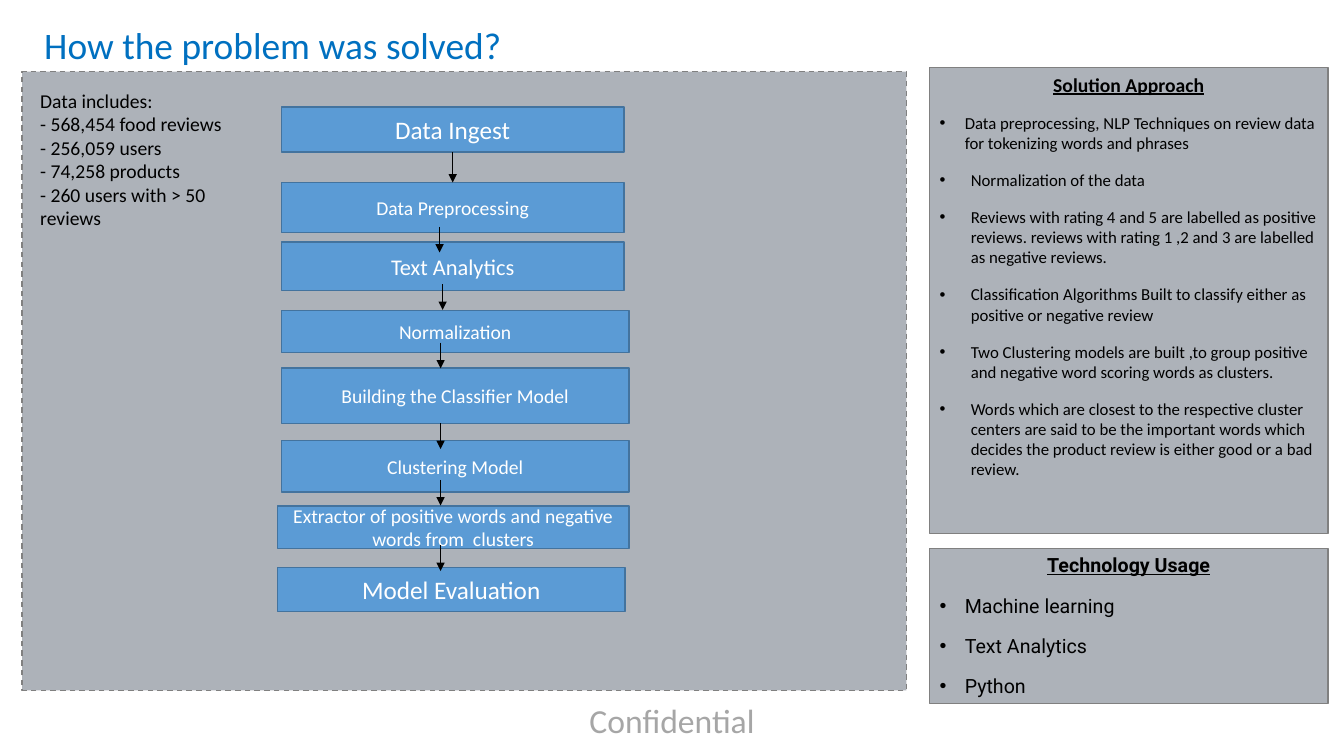
from lxml.etree import SubElement
from pptx import Presentation
from pptx.dml.color import RGBColor
from pptx.enum.dml import MSO_LINE
from pptx.enum.shapes import MSO_CONNECTOR, MSO_SHAPE
from pptx.enum.text import MSO_ANCHOR, PP_ALIGN
from pptx.oxml.ns import qn
from pptx.util import Inches, Pt

COLORS = {
    "title": "0070C0", "text": "000000", "white": "FFFFFF", "footer": "A6A6A6",
    "panel": "333F50", "panel_line": "808080", "step": "5B9BD5", "step_line": "43739E",
}
CELL = Inches(0.1)
COLS, ROWS = 133.3, 75
PANEL_LEFT, PANEL_WIDTH = 92.2, 39.5
ARROW_COL = 43.7

STEPS = [
    ("Data Ingest", 18, 27.9, 10.6, 34, 4.5),
    ("Data Preprocessing", 14, 27.9, 18.1, 34, 5),
    ("Text Analytics", 16, 27.9, 24, 34, 4.8),
    ("Normalization", 14, 27.9, 30.8, 34.5, 4.2),
    ("Building the Classifier Model", 14, 27.9, 36.5, 34.5, 5.5),
    ("Clustering Model", 14, 27.9, 43.7, 34.5, 5.1),
    ("Extractor of positive words and negative words from  clusters", 14, 27.5, 50.2, 34.9, 4.2),
    ("Model Evaluation", 18, 27.5, 56.3, 34.5, 4.4),
]
ARROWS = [
    (43.6, 22.5), (43.9, 28.2), (ARROW_COL, 34), (ARROW_COL, 42),
    (ARROW_COL, 47.6), (ARROW_COL, 54.1),
]
ARROW_ROWS = 2.55
DATA_FACTS = [
    "Data includes:", "- 568,454 food reviews", "- 256,059 users",
    "- 74,258 products", "- 260 users with > 50 reviews",
]
APPROACH = [
    ("Data preprocessing, NLP Techniques on review data for tokenizing words and phrases", 0.25),
    ("Normalization of the data", 0.31),
    ("Reviews with rating 4 and 5 are labelled as positive reviews. "
     "reviews with rating 1 ,2 and 3 are labelled as negative reviews.", 0.31),
    ("Classification Algorithms Built to classify either as positive or negative review", 0.31),
    ("Two Clustering models are built ,to group positive and negative word "
     "scoring words as clusters.", 0.31),
    ("Words which are closest to the respective cluster centers are said to be the important "
     "words which decides the product review is either good or a bad review.", 0.31),
]
TECHNOLOGY = [("Machine learning", 0.25), ("Text Analytics", 0.25), ("Python", 0.25)]


def cells(*counts):
    return [int(count * CELL) for count in counts]


def rgb(name):
    return RGBColor.from_string(COLORS[name])


def add_run(p, text, size, color, font="Calibri", heading=False):
    r = p.add_run()
    r.text = text
    r.font.size = Pt(size)
    r.font.name = font
    r.font.color.rgb = rgb(color)
    r.font.bold = r.font.underline = heading


def next_paragraph(tf):
    return tf.add_paragraph() if tf.paragraphs[0].runs else tf.paragraphs[0]


def add_label(s, box, lines, size, color, align=PP_ALIGN.LEFT, spacing=1):
    tf = s.shapes.add_textbox(*cells(*box)).text_frame
    tf.word_wrap = True
    for line in lines:
        p = next_paragraph(tf)
        p.alignment = align
        p.line_spacing = spacing
        add_run(p, line, size, color)


def add_box(s, box, fill, line, opacity=100):
    sp = s.shapes.add_shape(MSO_SHAPE.RECTANGLE, *cells(*box))
    sp.shadow.inherit = False
    sp.fill.solid()
    sp.fill.fore_color.rgb = rgb(fill)
    if opacity < 100:
        color = sp.fill._xPr.find(qn("a:solidFill"))[0]
        SubElement(color, qn("a:alpha"), val=str(opacity * 1000))
    sp.line.color.rgb = rgb(line)
    sp.line.width = Pt(1)
    sp.text_frame.word_wrap = True
    return sp


def add_step(s, text, size, *box):
    sp = add_box(s, box, "step", "step_line")
    tf = sp.text_frame
    tf.vertical_anchor = MSO_ANCHOR.MIDDLE
    p = tf.paragraphs[0]
    p.alignment = PP_ALIGN.CENTER
    add_run(p, text, size, "white")
    return sp


def add_bullet(p, indent):
    pPr = p._p.get_or_add_pPr()
    pPr.set("marL", str(Inches(indent)))
    pPr.set("indent", str(-Inches(indent)))
    SubElement(pPr, qn("a:buFont"), typeface="Arial")
    SubElement(pPr, qn("a:buChar"), char="•")


def add_panel(s, top, height, heading, items, size, font):
    box = (PANEL_LEFT, top, PANEL_WIDTH, height)
    tf = add_box(s, box, "panel", "panel_line", opacity=40).text_frame
    tf.vertical_anchor = MSO_ANCHOR.TOP
    p = tf.paragraphs[0]
    p.alignment = PP_ALIGN.CENTER
    p.space_after = Pt(12)
    add_run(p, heading, 14, "text", font, heading=True)
    for text, indent in items:
        p = tf.add_paragraph()
        p.alignment = PP_ALIGN.LEFT
        p.space_after = Pt(12)
        add_bullet(p, indent)
        add_run(p, text, size, "text", font)


def add_arrow(s, col, top, bottom):
    arrow = s.shapes.add_connector(MSO_CONNECTOR.STRAIGHT, *cells(col, top, col, bottom))
    arrow.line.color.rgb = rgb("text")
    arrow.line.width = Pt(0.5)
    SubElement(arrow.line._get_or_add_ln(), qn("a:tailEnd"), type="triangle")
    SubElement(arrow._element.spPr, qn("a:effectLst"))
    return arrow


def main():
    prs = Presentation()
    prs.slide_width, prs.slide_height = cells(COLS, ROWS)
    s = prs.slides.add_slide(prs.slide_layouts[6])

    add_label(s, (51.4, 68.9, 30.5, 5.4), ["Confidential"], 24, "footer", PP_ALIGN.CENTER)
    add_label(s, (3.4, 2.2, 127.2, 6.6), ["How the problem was solved?"], 26.7, "title", spacing=0.9)
    flow = add_box(s, (2.2, 7.1, 87.7, 61.4), "panel", "panel_line", opacity=40)
    flow.line.dash_style = MSO_LINE.DASH
    add_panel(s, 6.7, 46.2, "Solution Approach", APPROACH, 12, "Calibri")
    add_panel(s, 54.4, 15.4, "Technology Usage", TECHNOLOGY, 14, "Roboto")

    steps = [add_step(s, *step) for step in STEPS]
    first_arrow = add_arrow(s, 44.9, 15.1, 18.1)
    first_arrow.begin_connect(steps[0], 2)
    first_arrow.end_connect(steps[1], 0)
    for col, top in ARROWS:
        add_arrow(s, col, top, top + ARROW_ROWS)
    add_label(s, (3, 8.3, 24.5, 15.1), DATA_FACTS, 14, "text")

    prs.save("out.pptx")


if __name__ == "__main__":
    main()
